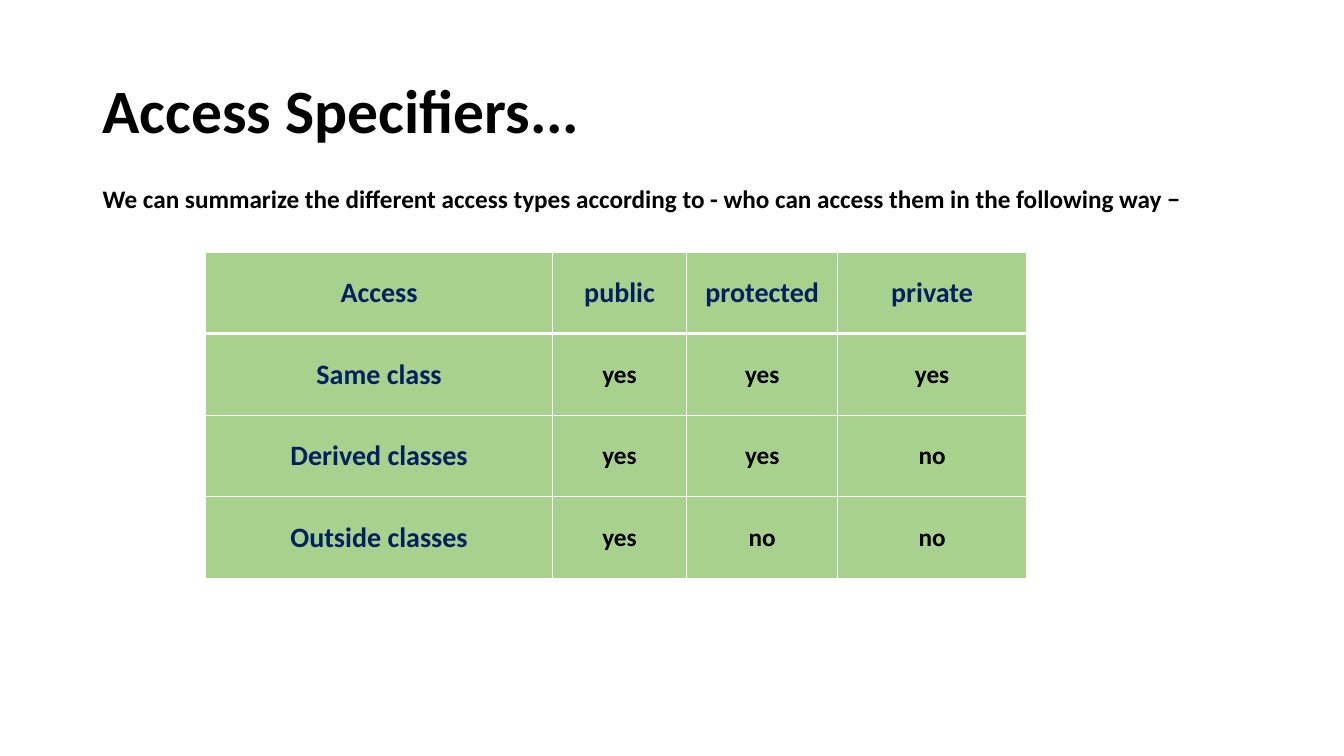
from lxml import etree
from pptx import Presentation
from pptx import util as u
from pptx.dml.color import RGBColor
from pptx.enum import text
from pptx.oxml.ns import qn

PX = 9144  # EMU per px, 100 px to the inch
FONT = "Calibri"
COLORS = {"ink": "000000", "label": "002060", "cell": "A9D18E", "rule": "FFFFFF"}
ACCESS_ROWS = [
    ["Access", "public", "protected", "private"],
    ["Same class", "yes", "yes", "yes"],
    ["Derived classes", "yes", "yes", "no"],
    ["Outside classes", "yes", "no", "no"],
]
COLUMN_WIDTHS = [344, 133, 150, 187]
ROW_HEIGHT = 81


def px(length):
    return u.Emu(length * PX)


def rgb(name):
    return RGBColor.from_string(COLORS[name])


def write(frame, words, size, color):
    """Put one bold line of text into a frame and return its paragraph."""
    line = frame.paragraphs[0]
    line.text = words
    font = line.runs[0].font
    font.name, font.size, font.bold = FONT, u.Pt(size), True
    font.color.rgb = rgb(color)
    return line


def add_text(slide, box, words, size, anchor=text.MSO_ANCHOR.TOP):
    frame = slide.shapes.add_textbox(*map(px, box)).text_frame
    frame.word_wrap = True
    frame.vertical_anchor = anchor
    return write(frame, words, size, "ink")


def set_borders(cell, top, bottom):
    """Draw the four cell borders; top and bottom are widths in points."""
    properties = cell._tc.get_or_add_tcPr()
    widths = {"a:lnL": 1, "a:lnR": 1, "a:lnT": top, "a:lnB": bottom}
    for position, (side, width) in enumerate(widths.items()):
        border = etree.Element(qn(side), w=str(u.Pt(width)))
        fill = etree.SubElement(border, qn("a:solidFill"))
        etree.SubElement(fill, qn("a:srgbClr"), val=COLORS["rule"])
        properties.insert(position, border)


def fill_cell(cell, words, is_label):
    cell.fill.solid()
    cell.fill.fore_color.rgb = rgb("cell")
    cell.vertical_anchor = text.MSO_ANCHOR.MIDDLE
    cell.margin_left = cell.margin_right = px(5)
    cell.margin_top = cell.margin_bottom = px(3)
    size, color = (20, "label") if is_label else (18, "ink")
    write(cell.text_frame, words, size, color).alignment = text.PP_ALIGN.CENTER


def add_access_table(slide, left, top):
    row_count, column_count = len(ACCESS_ROWS), len(COLUMN_WIDTHS)
    access = slide.shapes.add_table(
        row_count, column_count, px(left), px(top),
        px(sum(COLUMN_WIDTHS)), px(ROW_HEIGHT * row_count)).table
    for column, width in zip(access.columns, COLUMN_WIDTHS):
        column.width = px(width)
    for r, entries in enumerate(ACCESS_ROWS):
        access.rows[r].height = px(ROW_HEIGHT)
        for c, words in enumerate(entries):
            cell = access.cell(r, c)
            fill_cell(cell, words, is_label=r == 0 or c == 0)
            # A thick rule separates the header from the body
            set_borders(cell, top=3 if r == 1 else 1, bottom=3 if r == 0 else 1)


def main():
    deck = Presentation()
    deck.slide_width, deck.slide_height = px(1333), px(750)
    slide = deck.slides.add_slide(deck.slide_layouts[6])

    # Title
    title = add_text(slide, (92, 40, 1150, 145), "Access Specifiers...", 44,
                     text.MSO_ANCHOR.MIDDLE)
    title.line_spacing = 0.9

    # Who can access what
    add_access_table(slide, 204, 250)

    # Lead-in sentence
    add_text(slide, (92, 177, 1108, 40),
             "We can summarize the different access types according to - "
             "who can access them in the following way −", 18)

    deck.save("out.pptx")


if __name__ == "__main__":
    main()
